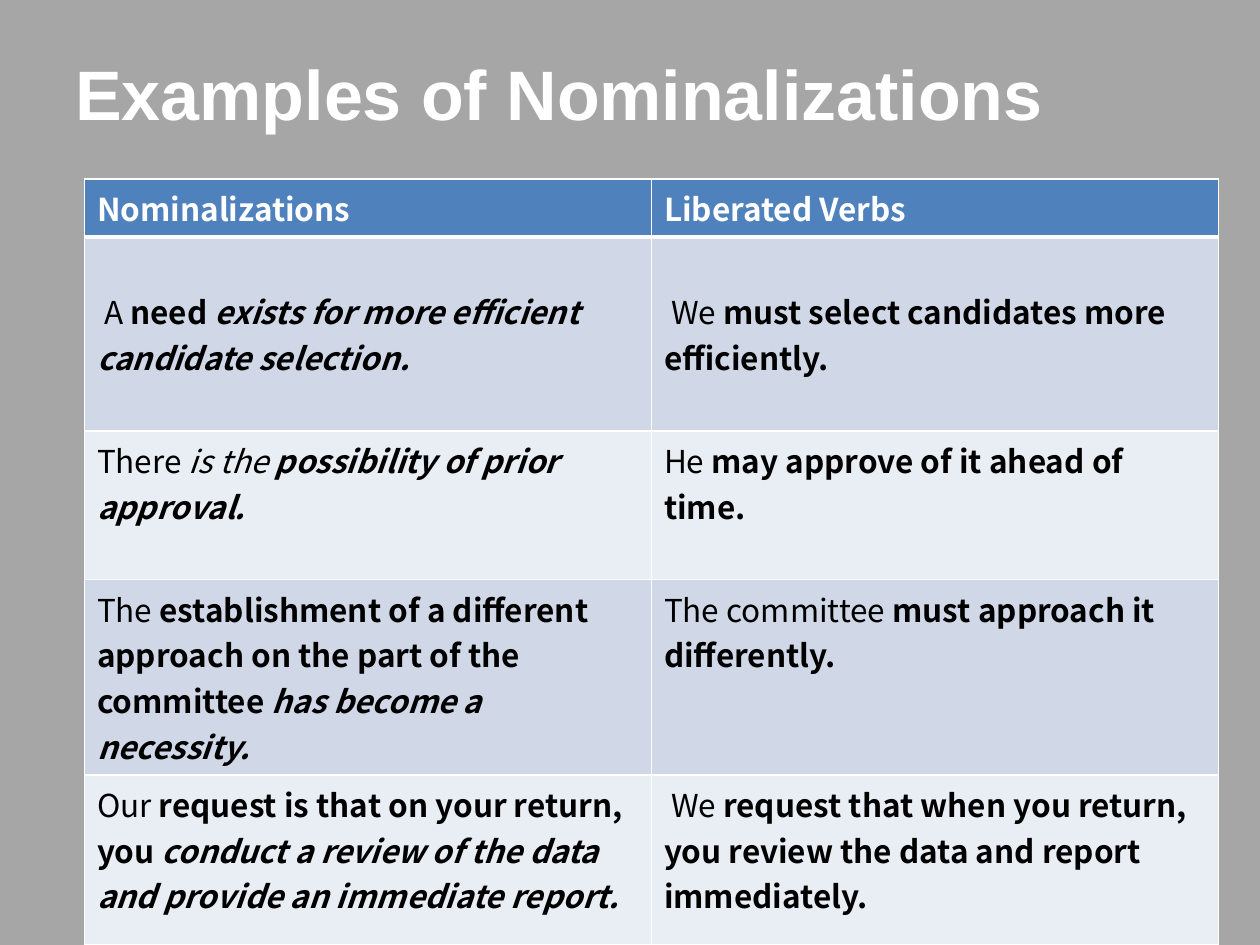
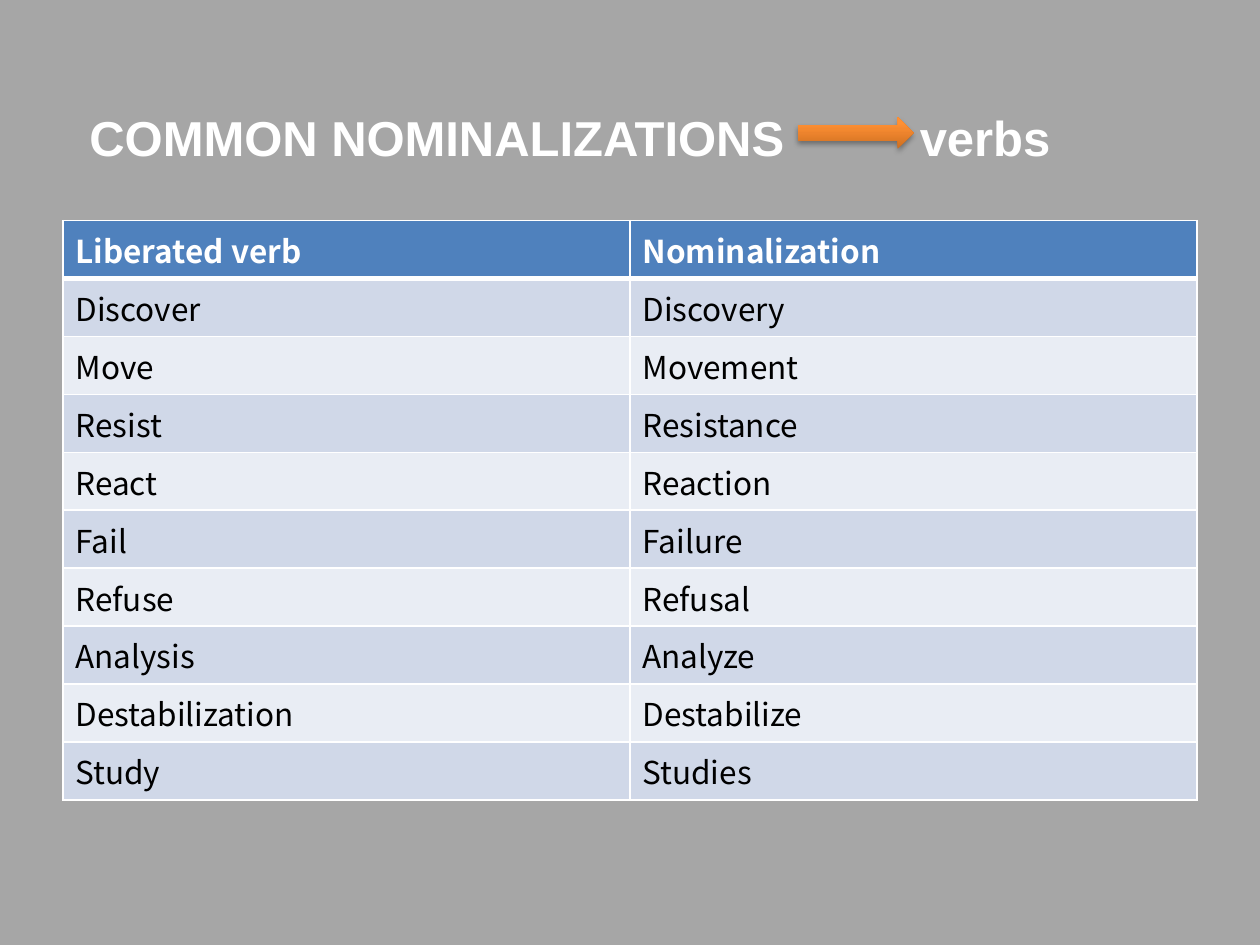
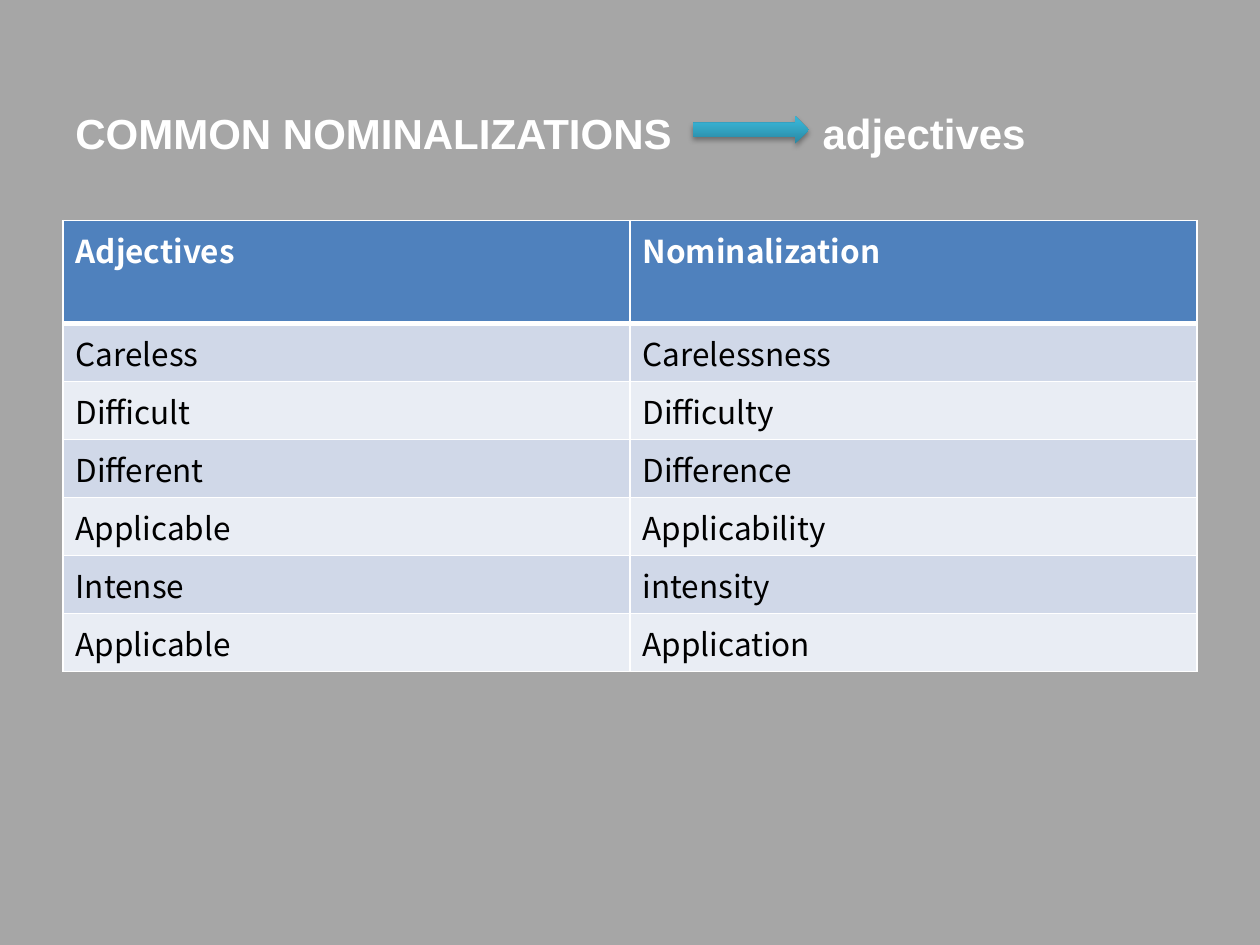
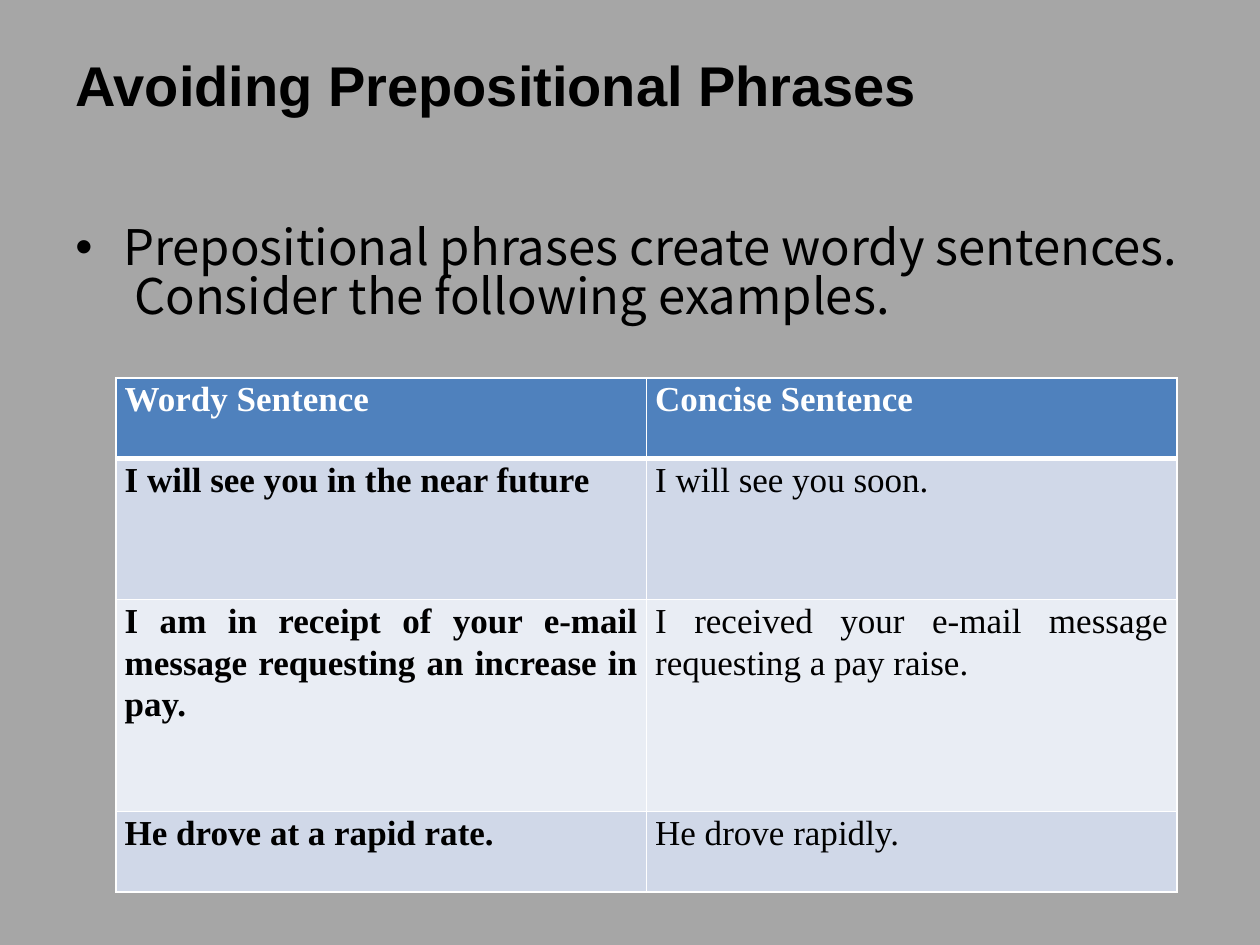
import pptx
import pptx.dml.color
import pptx.enum.shapes
import pptx.enum.text
import pptx.oxml
import pptx.oxml.ns
import pptx.util
from lxml import etree

RGBColor = pptx.dml.color.RGBColor
Inches = pptx.util.Inches
Align = pptx.enum.text.PP_ALIGN
Anchor = pptx.enum.text.MSO_ANCHOR

# Shared look
GRAY = RGBColor(0xA6, 0xA6, 0xA6)
WHITE = RGBColor(0xFF, 0xFF, 0xFF)
BLACK = RGBColor(0x00, 0x00, 0x00)
HEADER_BLUE = RGBColor(0x4F, 0x81, 0xBD)
BANDS = (RGBColor(0xD0, 0xD8, 0xE8), RGBColor(0xE9, 0xED, 0xF4))
ORANGE = (RGBColor(0xCC, 0x6E, 0x20), RGBColor(0xFF, 0x90, 0x34), RGBColor(0xFF, 0x91, 0x36))
TEAL = (RGBColor(0x2A, 0x88, 0xA2), RGBColor(0x37, 0xB1, 0xD2), RGBColor(0x34, 0xB4, 0xD6))
TITLE_FONT, BODY_FONT, SERIF_FONT = "Arial", "Noto Sans CJK KR", "Times New Roman"
WIDTH, HEIGHT = 10, 7.5
MARGIN = WIDTH / 20
CONTENT_WIDTH = WIDTH - 2 * MARGIN
LINE_ROW = 0.46

# Content: a paragraph is a string or a list of (text, style) runs, b bold, i italic
EXAMPLES = [
    ("Nominalizations", "Liberated Verbs"),
    ([[(" A ", ""), ("need ", "b"), ("exists for more efficient", "bi")],
      [("candidate selection.", "bi")]],
     [[(" We ", ""), ("must select candidates more", "b")], [("efficiently.", "b")]]),
    ([[("There ", ""), ("is the ", "i"), ("possibility of prior", "bi")], [("approval.", "bi")]],
     [[("He ", ""), ("may approve of it ahead of", "b")], [("time.", "b")]]),
    ([[("The ", ""), ("establishment of a different approach on the part of the", "b")],
      [("committee ", "b"), ("has become a necessity.", "bi")]],
     [[("The committee ", ""), ("must approach it", "b")], [("differently.", "b")]]),
    ([[("Our ", ""), ("request is that on your return, you ", "b"),
       ("conduct a review of the data and provide an immediate report.", "bi")]],
     [[(" We ", ""),
       ("request that when you return, you review the data and report immediately.", "b")]]),
]
VERBS = [
    ("Liberated verb", "Nominalization"), ("Discover", "Discovery"), ("Move", "Movement"),
    ("Resist", "Resistance"), ("React", "Reaction"), ("Fail", "Failure"),
    ("Refuse", "Refusal"), ("Analysis", "Analyze"), ("Destabilization", "Destabilize"),
    ("Study", "Studies"),
]
ADJECTIVES = [
    ("Adjectives", "Nominalization"), ("Careless", "Carelessness"),
    ("Difficult", "Difficulty"), ("Different", "Difference"),
    ("Applicable", "Applicability"), ("Intense", "intensity"), ("Applicable", "Application"),
]
SENTENCES = [
    ("Wordy Sentence", "Concise Sentence"),
    ([[("I will see you in the near future", "b")]], "I will see you soon."),
    ([[("I am in receipt of your e-mail message requesting an increase in pay.", "b")]],
     "I received your e-mail message requesting a pay raise."),
    ([[("He drove at a rapid rate.", "b")]], "He drove rapidly."),
]
BULLET = "Prepositional phrases create wordy sentences.  Consider the following examples."


def write_text(frame, text, size=18, font=BODY_FONT, color=BLACK, bold=False,
               align=Align.LEFT, line_spacing=None, space_before=0):
    """Fill a text frame from a string or a list of paragraphs of styled runs."""
    frame.word_wrap = True
    paragraphs = [[(text, "")]] if isinstance(text, str) else text
    for index, runs in enumerate(paragraphs):
        paragraph = frame.add_paragraph() if index else frame.paragraphs[0]
        paragraph.alignment = align
        paragraph.space_before = pptx.util.Pt(space_before)
        if line_spacing:
            paragraph.line_spacing = line_spacing
        for words, style in runs:
            run = paragraph.add_run()
            run.text = words
            run.font.size = pptx.util.Pt(size)
            run.font.name = font
            run.font.color.rgb = color
            run.font.bold = bold or "b" in style
            run.font.italic = "i" in style


def drawing_element(xml):
    return pptx.oxml.parse_xml(xml.replace(" ", f" {pptx.oxml.ns.nsdecls('a')} ", 1))


def add_text_box(slide, text, left, top, width, height, insets=(0.1, 0.05), **style):
    box = slide.shapes.add_textbox(*map(Inches, (left, top, width, height)))
    box.text_frame.margin_left, box.text_frame.margin_top = map(Inches, insets)
    write_text(box.text_frame, text, **style)
    return box.text_frame.paragraphs[0]


def add_title(slide, text, size, top=0.3, height=1.25, insets=(0.1, 0.1), color=WHITE, tab=None):
    paragraph = add_text_box(slide, text, MARGIN, top, CONTENT_WIDTH, height, insets,
                             size=size, font=TITLE_FONT, color=color, bold=True)
    if tab:
        # The word after the arrow starts at a tab stop
        properties = paragraph._p.get_or_add_pPr()
        stops = drawing_element('<a:tabLst />')
        etree.SubElement(stops, pptx.oxml.ns.qn("a:tab"), pos=str(Inches(tab)), algn="l")
        properties.append(stops)


def set_borders(cell, top, bottom):
    properties = cell._tc.get_or_add_tcPr()
    for side, points in (("L", 1), ("R", 1), ("T", top), ("B", bottom)):
        properties.append(drawing_element(
            f'<a:ln{side} w="{pptx.util.Pt(points)}"><a:solidFill>'
            f'<a:srgbClr val="{WHITE}"/></a:solidFill></a:ln{side}>'))


def add_two_column_table(slide, rows, heights, left=MARGIN, top=1.75, width=CONTENT_WIDTH,
                         insets=(0.1, 0.05), middle_row=None, **style):
    frame = slide.shapes.add_table(len(rows), 2, *map(Inches, (left, top, width, sum(heights))))
    table = frame.table
    for column in table.columns:
        column.width = Inches(width / 2)
    for row_index, (texts, height) in enumerate(zip(rows, heights)):
        table.rows[row_index].height = Inches(height)
        header = row_index == 0
        for column_index, text in enumerate(texts):
            cell = table.cell(row_index, column_index)
            cell.margin_left = cell.margin_right = Inches(insets[0])
            cell.margin_top = cell.margin_bottom = Inches(insets[1])
            cell.vertical_anchor = Anchor.MIDDLE if row_index == middle_row else Anchor.TOP
            set_borders(cell, top=3 if row_index == 1 else 1, bottom=3 if header else 1)
            cell.fill.solid()
            cell.fill.fore_color.rgb = HEADER_BLUE if header else BANDS[(row_index - 1) % 2]
            write_text(cell.text_frame, text, bold=header,
                       color=WHITE if header else BLACK, **style)


def add_arrow(slide, left, top, height, colors):
    arrow = slide.shapes.add_shape(pptx.enum.shapes.MSO_SHAPE.RIGHT_ARROW,
                                   *map(Inches, (left, top, 0.92, height)))
    arrow.line.fill.background()
    properties = arrow._element.spPr
    stops = "".join(f'<a:gs pos="{share * 1000}"><a:srgbClr val="{color}"/></a:gs>'
                    for share, color in zip((0, 80, 100), colors))
    properties.insert(2, drawing_element(
        f'<a:gradFill rotWithShape="1"><a:gsLst>{stops}</a:gsLst>'
        '<a:lin ang="16200000" scaled="0"/></a:gradFill>'))
    properties.append(drawing_element(
        '<a:effectLst ><a:outerShdw blurRad="39370" dist="22860" dir="5400000" rotWithShape="0">'
        '<a:srgbClr val="000000"><a:alpha val="35000"/></a:srgbClr></a:outerShdw></a:effectLst>'))


def add_slide(presentation):
    slide = presentation.slides.add_slide(presentation.slide_layouts[6])
    slide.background.fill.solid()
    slide.background.fill.fore_color.rgb = GRAY
    return slide


def main():
    presentation = pptx.Presentation()
    presentation.slide_width, presentation.slide_height = Inches(WIDTH), Inches(HEIGHT)

    # Examples of nominalizations
    slide = add_slide(presentation)
    add_title(slide, "Examples of Nominalizations", 40)
    add_two_column_table(slide, EXAMPLES, [LINE_ROW, 1.54, 1.18, 1.55, 1.35],
                         left=0.67, top=1.42, middle_row=1)

    # Nominalizations from verbs
    slide = add_slide(presentation)
    add_title(slide, "COMMON NOMINALIZATIONS\tverbs", 28, insets=(0.21, 0.55), tab=6.59)
    add_two_column_table(slide, VERBS, [LINE_ROW] * len(VERBS))
    add_arrow(slide, 6.33, 0.93, 0.25, ORANGE)

    # Nominalizations from adjectives
    slide = add_slide(presentation)
    add_title(slide, "COMMON NOMINALIZATIONS\tadjectives", 24, top=0.75, height=0.62, tab=5.93)
    add_two_column_table(slide, ADJECTIVES, [0.82] + [LINE_ROW] * (len(ADJECTIVES) - 1))
    add_arrow(slide, 5.5, 0.92, 0.22, TEAL)

    # Prepositional phrases
    slide = add_slide(presentation)
    add_title(slide, "Avoiding Prepositional Phrases", 32, height=0.78, color=BLACK)
    paragraph = add_text_box(slide, BULLET, MARGIN, 1.75, CONTENT_WIDTH, 4.95,
                             size=28, line_spacing=0.83, space_before=5.6)
    properties = paragraph._p.get_or_add_pPr()
    properties.set("marL", str(Inches(0.38)))
    properties.set("indent", str(-Inches(0.38)))
    properties.append(drawing_element('<a:buFont typeface="Arial"/>'))
    properties.append(drawing_element('<a:buChar char="•"/>'))
    add_two_column_table(slide, SENTENCES, [0.64, 1.12, 1.68, 0.64], left=0.92, top=3,
                         width=8.42, insets=(0.07, 0), size=20, font=SERIF_FONT,
                         align=Align.JUSTIFY, line_spacing=1.07)

    presentation.save("out.pptx")


if __name__ == "__main__":
    main()
